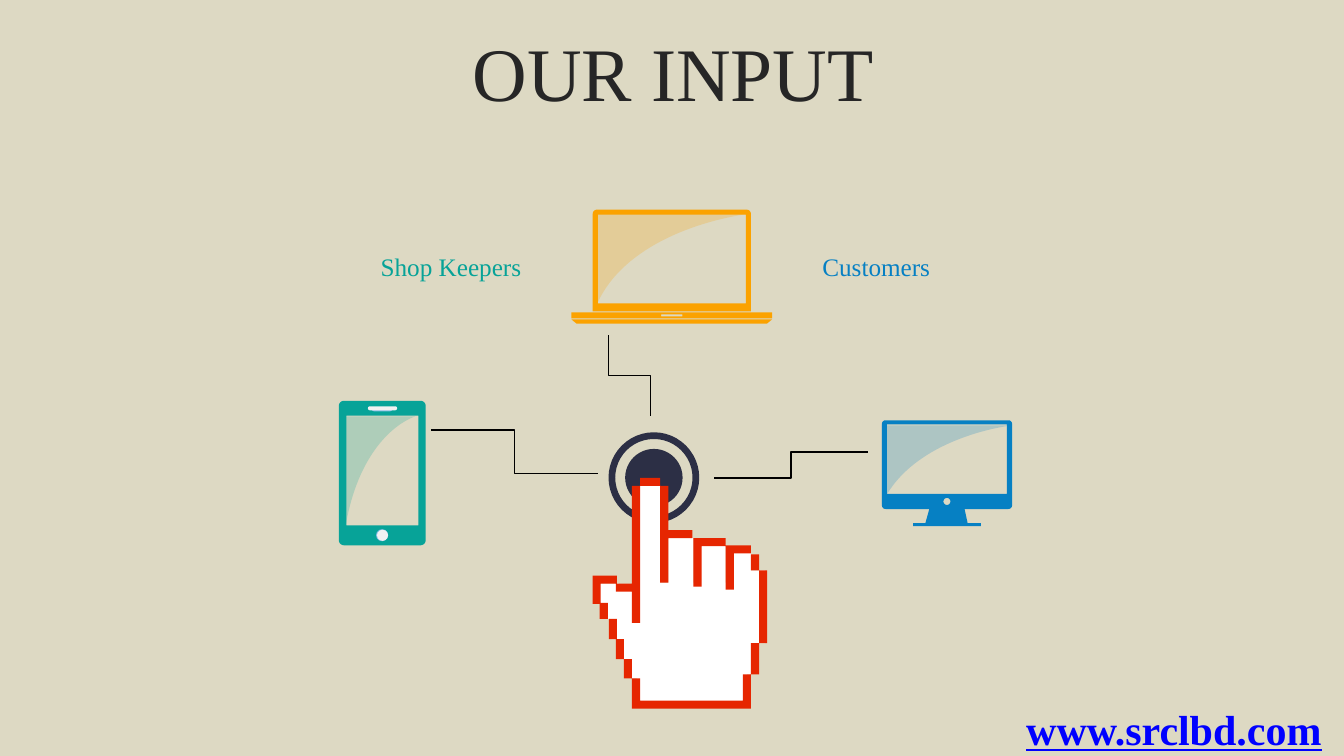
import math

import pptx
import pptx.dml.color
import pptx.enum.shapes
import pptx.enum.text
import pptx.oxml
import pptx.oxml.ns
import pptx.util

Pt = pptx.util.Pt
ALIGN = pptx.enum.text.PP_ALIGN
SHAPE = pptx.enum.shapes.MSO_SHAPE
NAVY, RED, WHITE, SILVER = "2C2F45", "E62601", "FFFFFF", "F2F2F2"
TEAL, ORANGE, BLUE, PALE_BLUE = "07A398", "FBA200", "0680C3", "87BCE6"


def color(hex_string):
    return pptx.dml.color.RGBColor.from_string(hex_string)


def rounded(left, top, right, bottom, top_radius=0, bottom_radius=None):
    if bottom_radius is None:
        bottom_radius = top_radius
    corners = [
        (right - bottom_radius, bottom - bottom_radius, bottom_radius),
        (left + bottom_radius, bottom - bottom_radius, bottom_radius),
        (left + top_radius, top + top_radius, top_radius),
        (right - top_radius, top + top_radius, top_radius),
    ]
    points = []
    for quarter, (x, y, radius) in enumerate(corners):
        steps = 12 if radius else 0
        for step in range(steps + 1):
            angle = math.pi / 2 * (quarter + step / max(steps, 1))
            points.append((x + radius * math.cos(angle), y + radius * math.sin(angle)))
    return points


def circle(x, y, radius):
    return rounded(x - radius, y - radius, x + radius, y + radius, radius)


def glare(left, top, right, bottom, steps=30):
    points = [(left, top)]
    for step in range(steps + 1):
        t = step / steps
        x = 3 * t * (1 - t) ** 2 * 0.16 + 3 * t ** 2 * (1 - t) * 0.62 + t ** 3
        y = (1 - t) ** 3 + 3 * t * (1 - t) ** 2 * 0.4 + 3 * t ** 2 * (1 - t) * 0.09
        points.append((left + x * (right - left), top + y * (bottom - top)))
    return points


class SlideBuilder:
    font_name = "Times New Roman"

    def __init__(self, presentation, background):
        self.slide = presentation.slides.add_slide(presentation.slide_layouts[5])
        self.slide.background.fill.solid()
        self.slide.background.fill.fore_color.rgb = color(background)

    def paint(self, shape, fill, opacity=None):
        shape.shadow.inherit = False
        shape.line.fill.background()
        shape.fill.solid()
        shape.fill.fore_color.rgb = color(fill)
        if opacity is not None:
            solid = shape._element.spPr.find(pptx.oxml.ns.qn("a:solidFill"))
            solid[0].append(pptx.oxml.parse_xml(
                f'<a:alpha {pptx.oxml.ns.nsdecls("a")} val="{opacity * 1000}"/>'))
        return shape

    def outline(self, contours, fill, opacity=None):
        builder = None
        for contour in contours:
            points = [(Pt(x), Pt(y)) for x, y in contour]
            if builder is None:
                builder = self.slide.shapes.build_freeform(*points[0])
            else:
                builder.move_to(*points[0])
            builder.add_line_segments(points[1:], close=True)
        return self.paint(builder.convert_to_shape(), fill, opacity)

    def preset(self, kind, left, top, width, height, fill):
        shape = self.slide.shapes.add_shape(kind, Pt(left), Pt(top), Pt(width), Pt(height))
        if kind == SHAPE.ROUNDED_RECTANGLE:
            shape.adjustments[0] = 0.5
        return self.paint(shape, fill)

    def group(self, *shapes):
        self.slide.shapes.add_group_shape(shapes)

    def elbow(self, start, end, vertical=False):
        if vertical:
            x, y = (start[0] + end[0]) / 2, (start[1] + end[1]) / 2
            half_width, half_height = (end[1] - start[1]) / 2, (end[0] - start[0]) / 2
            start, end = (x + half_width, y - half_height), (x - half_width, y + half_height)
        connector = self.slide.shapes.add_connector(
            pptx.enum.shapes.MSO_CONNECTOR.ELBOW, *[Pt(value) for value in (*start, *end)])
        properties = connector._element.spPr
        if vertical:
            properties.find(pptx.oxml.ns.qn("a:xfrm")).set("rot", "16200000")
        connector.line.color.rgb = color("000000")
        connector.line.width = Pt(1)
        properties.append(pptx.oxml.parse_xml(f'<a:effectLst {pptx.oxml.ns.nsdecls("a")}/>'))

    def fill_text(self, shape, text, size, ink, align, anchor):
        frame = shape.text_frame
        frame.word_wrap = True
        frame.vertical_anchor = anchor
        paragraph = frame.paragraphs[0]
        paragraph.text = text
        paragraph.alignment = align
        paragraph.font.name = self.font_name
        paragraph.font.size = Pt(size)
        paragraph.font.color.rgb = color(ink)
        return paragraph

    def title(self, text, left, top, width, height):
        shape = self.slide.shapes.title
        shape.left, shape.top, shape.width, shape.height = map(Pt, (left, top, width, height))
        shape.text_frame.auto_size = pptx.enum.text.MSO_AUTO_SIZE.NONE
        paragraph = self.fill_text(shape, text, 54, "262626", ALIGN.CENTER,
                                   pptx.enum.text.MSO_ANCHOR.MIDDLE)
        paragraph.line_spacing = 0.9

    def text(self, text, left, top, width, height, size, ink, align,
             anchor=pptx.enum.text.MSO_ANCHOR.MIDDLE):
        box = self.slide.shapes.add_textbox(Pt(left), Pt(top), Pt(width), Pt(height))
        box.text_frame.auto_size = pptx.enum.text.MSO_AUTO_SIZE.SHAPE_TO_FIT_TEXT
        return self.fill_text(box, text, size, ink, align, anchor)


HAND = [
    (457.2, 347), (471.6, 347), (471.6, 416.2), (477.4, 416.2), (477.4, 384.5),
    (495.4, 384.5), (495.4, 416.2), (500.4, 416.2), (500.4, 388.8), (518.4, 388.8),
    (518.4, 416.2), (519.1, 416.2), (519.1, 394.6), (536.4, 394.6), (536.4, 407.5),
    (546.5, 407.5), (546.5, 459.4), (536.4, 459.4), (536.4, 481.7), (533.5, 481.7),
    (533.5, 501.8), (455, 501.8), (455, 484.6), (451.4, 484.6), (451.4, 470.9),
    (444.2, 470.9), (444.2, 456.5), (437, 456.5), (437, 442.1), (431.3, 442.1),
    (431.3, 431.3), (424.1, 431.3), (424.1, 416.9), (442.1, 416.9), (442.1, 417.6),
    (449.3, 417.6), (449.3, 419), (455, 419), (455, 416.2), (457.2, 416.2),
]
HAND_EDGES = [
    [(536.4, 459.4), (542.2, 459.4), (542.2, 481.7), (536.4, 481.7), (536.4, 506.2),
     (451.4, 506.2), (451.4, 484.6), (457.2, 484.6), (457.2, 500.4), (530.6, 500.4),
     (530.6, 481.7), (536.4, 481.7)],
    [(434.9, 442.1), (440.6, 442.1), (440.6, 456.5), (445.7, 456.5), (445.7, 470.9),
     (451.4, 470.9), (451.4, 484.6), (445.7, 484.6), (445.7, 470.9), (439.9, 470.9),
     (439.9, 456.5), (434.9, 456.5)],
    rounded(542.2, 407.5, 547.9, 459.4),
    rounded(536.4, 396, 542.2, 407.5),
    [(495.4, 384.5), (518.4, 384.5), (518.4, 389.5), (536.4, 389.5), (536.4, 395.3),
     (524.2, 395.3), (524.2, 421.2), (518.4, 421.2), (518.4, 390.2), (501.1, 390.2),
     (501.1, 419), (495.4, 419)],
    [(471.6, 347), (477.4, 347), (477.4, 378.7), (494.6, 378.7), (494.6, 384.5),
     (477.4, 384.5), (477.4, 416.2), (471.6, 416.2)],
    [(451.4, 347), (457.2, 347), (457.2, 445), (451.4, 445), (451.4, 422.6),
     (439.9, 422.6), (439.9, 416.9), (429.1, 416.9), (429.1, 430.6), (434.2, 430.6),
     (434.2, 442.1), (428.4, 442.1), (428.4, 431.3), (423.4, 431.3), (423.4, 411.1),
     (440.6, 411.1), (440.6, 416.9), (451.4, 416.9)],
    rounded(457.2, 341.3, 471.6, 347),
]
LAPTOP = [
    [(408.2, 228.2), (551.5, 228.2), (547.9, 231.1), (411.8, 231.1)],
    rounded(472.3, 224.6, 487.4, 226.1),
    rounded(408.2, 223.2, 551.5, 227.5),
    rounded(427, 153.4, 532.8, 216.7),
    rounded(423.4, 149.8, 536.4, 222.5, 3, 0),
]
MONITOR = [
    rounded(630, 300.2, 722.9, 363.6, 2.6),
    rounded(633.6, 303.1, 719.3, 352.8),
    circle(676.4, 358.2, 2.5),
    [(663.8, 363.6), (689, 363.6), (691.2, 373.7), (661, 373.7)],
    rounded(652.3, 373.7, 700.6, 375.8),
]


def main():
    presentation = pptx.Presentation()
    presentation.slide_width, presentation.slide_height = Pt(960), Pt(540)
    page = SlideBuilder(presentation, "DDD9C3")
    page.outline([circle(467.1, 341.2, radius) for radius in (20.5, 27.6, 32.4)], NAVY)
    page.title("OUR INPUT", 25.2, 26.6, 911.5, 56.9)
    page.group(page.outline([HAND], WHITE), page.outline(HAND_EDGES, RED))
    page.group(
        page.outline([rounded(242, 286.3, 304.1, 389.5, 3.8),
                      rounded(247.4, 296.8, 298.9, 375.3)], TEAL),
        page.preset(SHAPE.ROUNDED_RECTANGLE, 265.7, 290.9, 14.4, 2.9, PALE_BLUE),
        page.preset(SHAPE.OVAL, 268.6, 378, 8.6, 8.6, PALE_BLUE),
        page.outline([glare(247, 297.4, 296.6, 375.1)], TEAL, 22),
        page.preset(SHAPE.ROUNDED_RECTANGLE, 262.8, 290.2, 20.9, 2.9, SILVER),
        page.preset(SHAPE.OVAL, 269.3, 378.4, 7.9, 7.9, SILVER),
    )
    page.group(page.outline(LAPTOP, ORANGE),
               page.outline([glare(427, 152.6, 535.7, 216)], ORANGE, 22))
    page.group(page.outline(MONITOR, BLUE),
               page.outline([glare(630, 303.8, 722.9, 360)], BLUE, 22))
    page.elbow((308.2, 307.2), (427, 338.2))
    page.elbow((434.5, 239.6), (464.8, 297.2), vertical=True)
    page.elbow((510, 341.5), (620, 323))
    page.text("Customers", 580.3, 175.7, 195.1, 29.1, 18, BLUE, ALIGN.LEFT)
    page.text("Shop Keepers", 184.3, 175.7, 195.1, 29.1, 18, TEAL, ALIGN.RIGHT)
    address = page.text("www.srclbd.com", 725.8, 499, 225.4, 43.9, 30, "0000FF",
                        ALIGN.RIGHT, pptx.enum.text.MSO_ANCHOR.TOP)
    address.font.bold = True
    address.font.underline = True
    presentation.save("out.pptx")


if __name__ == "__main__":
    main()
